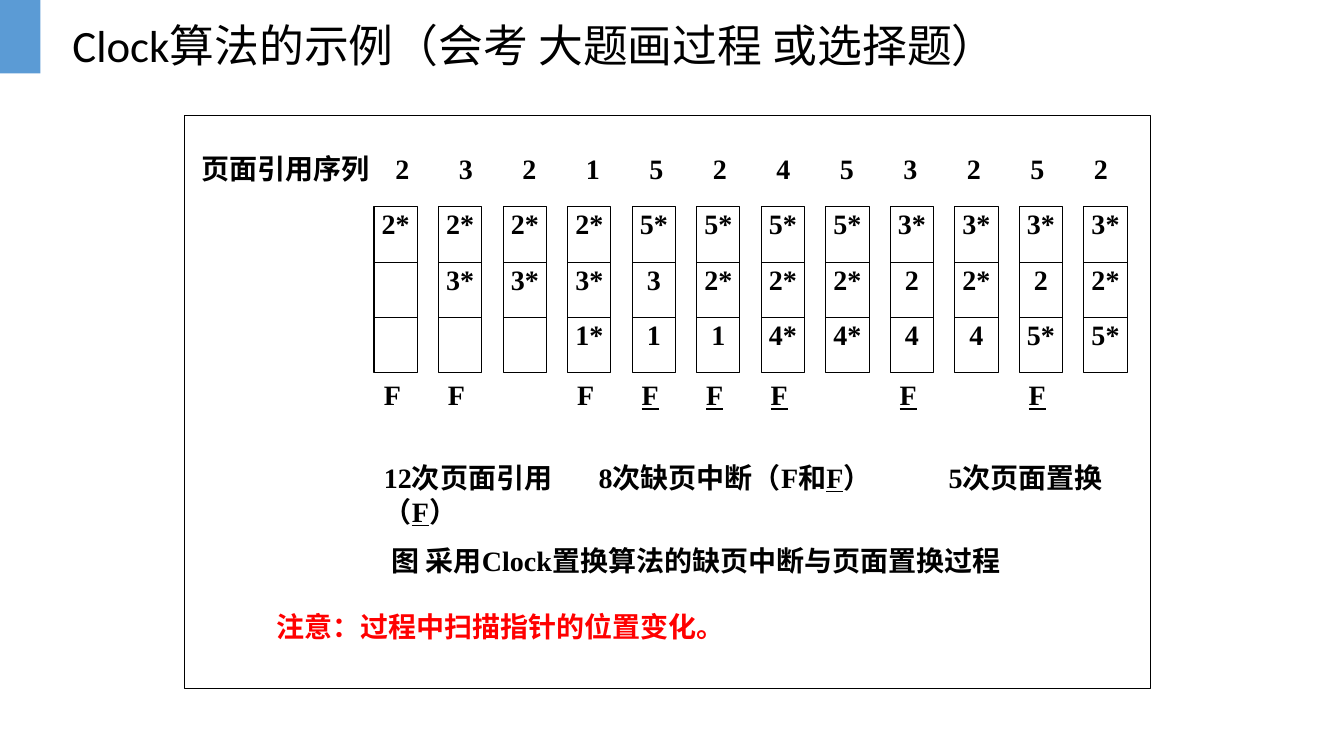
import lxml.etree
import pptx
import pptx.dml.color
import pptx.enum.shapes
import pptx.enum.text
import pptx.oxml.ns
import pptx.util

Inches = pptx.util.Inches
Pt = pptx.util.Pt
RGBColor = pptx.dml.color.RGBColor
ALIGN = pptx.enum.text.PP_ALIGN
ANCHOR = pptx.enum.text.MSO_ANCHOR

BLACK = RGBColor(0x00, 0x00, 0x00)
RED = RGBColor(0xFF, 0x00, 0x00)
BLUE = RGBColor(0x5B, 0x9B, 0xD5)
BODY_FONT = "Times New Roman"
TITLE_FONT = "Calibri"

REFERENCES = "2 3 2 1 5 2 4 5 3 2 5 2".split()
FRAMES = [
    "2* 2* 2* 2* 5* 5* 5* 5* 3* 3* 3* 3*".split(),
    ["", *"3* 3* 3* 3 2* 2* 2* 2 2* 2 2*".split()],
    ["", "", "", *"1* 1 1 4* 4* 4 4 5* 5*".split()],
]
FAULT_COLUMNS = {0, 1, 3}
REPLACEMENT_COLUMNS = {4, 5, 6, 8, 10}

FRAME_LEFT, FRAME_TOP = 3.71, 2.05
FRAME_WIDTH, FRAME_HEIGHT = 0.43, 0.55
COLUMN_PITCH = 0.64
REFERENCE_PITCH = 0.63


def add_rectangle(slide, left, top, width, height, fill=None):
    """Add a filled block, or a thin black outline when no fill is given."""
    shape = slide.shapes.add_shape(
        pptx.enum.shapes.MSO_SHAPE.RECTANGLE,
        Inches(left), Inches(top), Inches(width), Inches(height))
    shape.shadow.inherit = False
    if fill is None:
        shape.fill.background()
        shape.line.color.rgb = BLACK
        shape.line.width = Pt(0.75)
    else:
        shape.fill.solid()
        shape.fill.fore_color.rgb = fill
        shape.line.fill.background()
    return shape


def add_text_box(slide, left, top, width, height):
    text_box = slide.shapes.add_textbox(
        Inches(left), Inches(top), Inches(width), Inches(height))
    text_box.text_frame.word_wrap = True
    return text_box.text_frame


def clear_margins(text_frame):
    text_frame.margin_left = text_frame.margin_right = 0
    text_frame.margin_top = text_frame.margin_bottom = 0


def add_run(paragraph, text, color=BLACK, underline=False):
    run = paragraph.add_run()
    run.text = text
    run.font.name = BODY_FONT
    run.font.size = Pt(20)
    run.font.bold = True
    run.font.underline = underline
    run.font.color.rgb = color


def set_tab_stops(paragraph, positions, alignment):
    properties = paragraph._p.get_or_add_pPr()
    tab_list = lxml.etree.SubElement(properties, pptx.oxml.ns.qn("a:tabLst"))
    for position in positions:
        lxml.etree.SubElement(tab_list, pptx.oxml.ns.qn("a:tab"),
                              pos=str(int(Inches(position))), algn=alignment)


def add_title(slide):
    text_frame = add_text_box(slide, 0.62, 0, 11.16, 0.73)
    text_frame.vertical_anchor = ANCHOR.MIDDLE
    paragraph = text_frame.paragraphs[0]
    paragraph.line_spacing = 1.3
    run = paragraph.add_run()
    run.text = "Clock算法的示例（会考 大题画过程 或选择题）"
    run.font.name = TITLE_FONT
    run.font.size = Pt(32)
    run.font.color.rgb = BLACK


def add_reference_row(slide):
    text_frame = add_text_box(slide, 2, 1.5, 9.17, 0.55)
    clear_margins(text_frame)
    paragraph = text_frame.paragraphs[0]
    stops = [1.99 + REFERENCE_PITCH * i for i in range(len(REFERENCES))]
    set_tab_stops(paragraph, stops, "ctr")
    add_run(paragraph, "\t".join(["页面引用序列", *REFERENCES]))


def add_frames(slide):
    for column in range(len(REFERENCES)):
        for row, pages in enumerate(FRAMES):
            cell = add_rectangle(slide, FRAME_LEFT + COLUMN_PITCH * column,
                                 FRAME_TOP + FRAME_HEIGHT * row,
                                 FRAME_WIDTH, FRAME_HEIGHT)
            if pages[column]:
                text_frame = cell.text_frame
                clear_margins(text_frame)
                text_frame.vertical_anchor = ANCHOR.TOP
                paragraph = text_frame.paragraphs[0]
                paragraph.alignment = ALIGN.CENTER
                add_run(paragraph, pages[column])


def add_fault_row(slide):
    """Mark page faults with F, underlined where a page is replaced."""
    paragraph = add_text_box(slide, 3.71, 3.7, 7.46, 0.82).paragraphs[0]
    last_column = max(REPLACEMENT_COLUMNS)
    stops = [0.08 + COLUMN_PITCH * i for i in range(1, last_column + 1)]
    set_tab_stops(paragraph, stops, "ctr")
    for column in range(last_column + 1):
        if column:
            add_run(paragraph, "\t")
        if column in FAULT_COLUMNS | REPLACEMENT_COLUMNS:
            add_run(paragraph, "F", underline=column in REPLACEMENT_COLUMNS)


def add_summary(slide):
    paragraph = add_text_box(slide, 3.71, 4.52, 7.46, 0.82).paragraphs[0]
    set_tab_stops(paragraph, [2.13, 5.6], "l")
    add_run(paragraph, "12次页面引用\t8次缺页中断（F和")
    add_run(paragraph, "F", underline=True)
    add_run(paragraph, "）\t5次页面置换（")
    add_run(paragraph, "F", underline=True)
    add_run(paragraph, "）")


def add_caption_and_note(slide):
    text_frame = add_text_box(slide, 2.64, 5.34, 8.53, 1.49)
    caption = text_frame.paragraphs[0]
    caption.alignment = ALIGN.CENTER
    add_run(caption, "图 采用Clock置换算法的缺页中断与页面置换过程")
    note = text_frame.add_paragraph()
    note.space_before = Pt(23)
    add_run(note, "注意：过程中扫描指针的位置变化。", color=RED)


def main():
    presentation = pptx.Presentation()
    presentation.slide_width = Inches(13.33)
    presentation.slide_height = Inches(7.5)
    slide = presentation.slides.add_slide(presentation.slide_layouts[6])
    add_rectangle(slide, 0, 0, 0.4, 0.73, fill=BLUE)
    add_rectangle(slide, 1.83, 1.15, 9.58, 5.68)
    add_frames(slide)
    add_reference_row(slide)
    add_fault_row(slide)
    add_summary(slide)
    add_caption_and_note(slide)
    add_title(slide)
    presentation.save("out.pptx")


if __name__ == "__main__":
    main()
